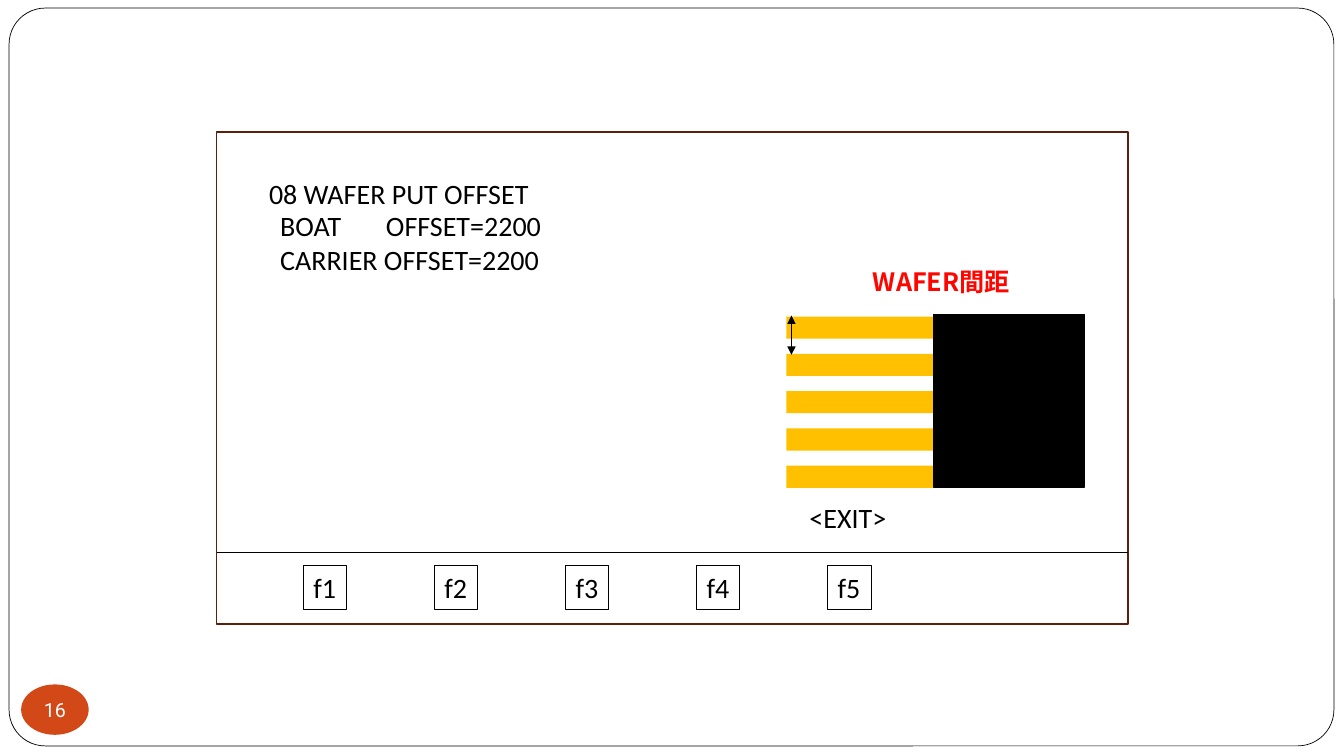
"""Build the wafer put offset screen slide."""
from typing import NamedTuple, Optional

from lxml.etree import SubElement
from pptx import Presentation
from pptx.dml.color import RGBColor
from pptx.enum.shapes import MSO_CONNECTOR, MSO_SHAPE
from pptx.enum.text import MSO_ANCHOR, PP_ALIGN
from pptx.oxml.ns import qn
from pptx.util import Inches, Pt

BLACK = RGBColor(0x00, 0x00, 0x00)
WHITE = RGBColor(0xFF, 0xFF, 0xFF)
BROWN = RGBColor(0x5C, 0x20, 0x0A)
ORANGE = RGBColor(0xD3, 0x48, 0x17)
AMBER = RGBColor(0xFF, 0xC0, 0x00)
RED = RGBColor(0xFE, 0x06, 0x00)


class Box(NamedTuple):
    left: float
    top: float
    width: float
    height: float


class Panel(NamedTuple):
    box: Box
    fill: Optional[RGBColor] = None
    line: Optional[RGBColor] = None
    weight: float = 1
    kind: MSO_SHAPE = MSO_SHAPE.RECTANGLE


class Label(NamedTuple):
    box: Box
    lines: tuple[str, ...]
    wrap: bool = True


FRAME = Panel(Box(0.09, 0.08, 13.14, 7.32), WHITE, BLACK, 0.5, MSO_SHAPE.ROUNDED_RECTANGLE)
BADGE = Panel(Box(0.21, 6.79, 0.67, 0.5), ORANGE, kind=MSO_SHAPE.OVAL)
SCREEN = Panel(Box(2.15, 1.31, 9.04, 4.88), line=BROWN)
CARRIER = Panel(Box(9.26, 3.12, 1.5, 1.71), BLACK, BLACK)
KEYS = [Panel(Box(3.01 + 1.3 * i, 5.61, 0.43, 0.44), line=BLACK, weight=0.75) for i in range(5)]
WAFERS = [Panel(Box(7.8, 3.14 + 0.37 * i, 1.46, 0.22), AMBER) for i in range(5)]
LABELS = [
    Label(Box(7.93, 4.92, 0.97, 0.44), ("<EXIT>",), False),
    Label(Box(2.57, 1.7, 8.19, 0.44), ("08 WAFER PUT OFFSET",)),
    Label(Box(2.68, 2.02, 8.19, 0.77), ("BOAT\tOFFSET=2200", "CARRIER OFFSET=2200")),
]


def add_panel(shapes, panel: Panel):
    """Draw a preset shape with its fill and outline."""
    sp = shapes.add_shape(panel.kind, *map(Inches, panel.box))
    sp.shadow.inherit = False
    if panel.fill is None:
        sp.fill.background()
    else:
        sp.fill.solid()
        sp.fill.fore_color.rgb = panel.fill
    if panel.line is None:
        sp.line.fill.background()
    else:
        sp.line.color.rgb = panel.line
        sp.line.width = Pt(panel.weight)
    return sp


def add_line(shapes, x1: float, y1: float, x2: float, y2: float, arrows: bool = False) -> None:
    """Draw a thin black line, optionally with arrowheads at both ends."""
    cxn = shapes.add_connector(MSO_CONNECTOR.STRAIGHT, *map(Inches, (x1, y1, x2, y2)))
    cxn.line.color.rgb = BLACK
    cxn.line.width = Pt(0.75)
    if arrows:
        for end in ("a:headEnd", "a:tailEnd"):
            SubElement(cxn.line._ln, qn(end), type="triangle")
    SubElement(cxn._element.spPr, qn("a:effectLst"))


def write(sp, *lines: str, size: float = 20, font: str = "Calibri", color: RGBColor = BLACK,
          bold: bool = False, align: PP_ALIGN = PP_ALIGN.LEFT, wrap: bool = False,
          anchor: MSO_ANCHOR = MSO_ANCHOR.TOP, inset: Optional[float] = None,
          tab: Optional[float] = None) -> None:
    """Fill a shape with one formatted paragraph per line."""
    tf = sp.text_frame
    tf.word_wrap = wrap
    tf.vertical_anchor = anchor
    if inset is not None:
        tf.margin_left = tf.margin_right = tf.margin_top = tf.margin_bottom = Inches(inset)
    for i, text in enumerate(lines):
        p = tf.add_paragraph() if i else tf.paragraphs[0]
        p.alignment = align
        if tab is not None:
            tabs = SubElement(p._p.get_or_add_pPr(), qn("a:tabLst"))
            SubElement(tabs, qn("a:tab"), pos=str(Inches(tab)), algn="l")
        r = p.add_run()
        r.text = text
        r.font.size = Pt(size)
        r.font.name = font
        r.font.bold = bold
        r.font.color.rgb = color
        SubElement(r._r.get_or_add_rPr(), qn("a:ea"), typeface=font)


def main() -> None:
    """Assemble and save the slide."""
    prs = Presentation()
    prs.slide_width, prs.slide_height = Inches(13.33), Inches(7.5)
    shapes = prs.slides.add_slide(prs.slide_layouts[6]).shapes

    add_panel(shapes, FRAME).adjustments[0] = 0.049
    write(add_panel(shapes, BADGE), "16", size=14, font="Roboto", color=WHITE,
          align=PP_ALIGN.CENTER, anchor=MSO_ANCHOR.MIDDLE, inset=0)
    add_panel(shapes, SCREEN)
    add_line(shapes, 2.15, 5.48, 11.19, 5.48)
    for i, key in enumerate(KEYS, 1):
        write(add_panel(shapes, key), f"f{i}")
    for label in LABELS:
        sp = shapes.add_textbox(*map(Inches, label.box))
        write(sp, *label.lines, wrap=label.wrap,
              tab=1.05 if "\t" in label.lines[0] else None)
    for wafer in WAFERS:
        add_panel(shapes, wafer)
    write(shapes.add_textbox(*map(Inches, (8.56, 2.59, 1.59, 0.4))), "WAFER間距",
          size=18, font="Noto Sans CJK SC", color=RED, bold=True, wrap=True)
    add_line(shapes, 7.85, 3.13, 7.85, 3.52, arrows=True)
    add_panel(shapes, CARRIER)
    prs.save("out.pptx")


if __name__ == "__main__":
    main()
